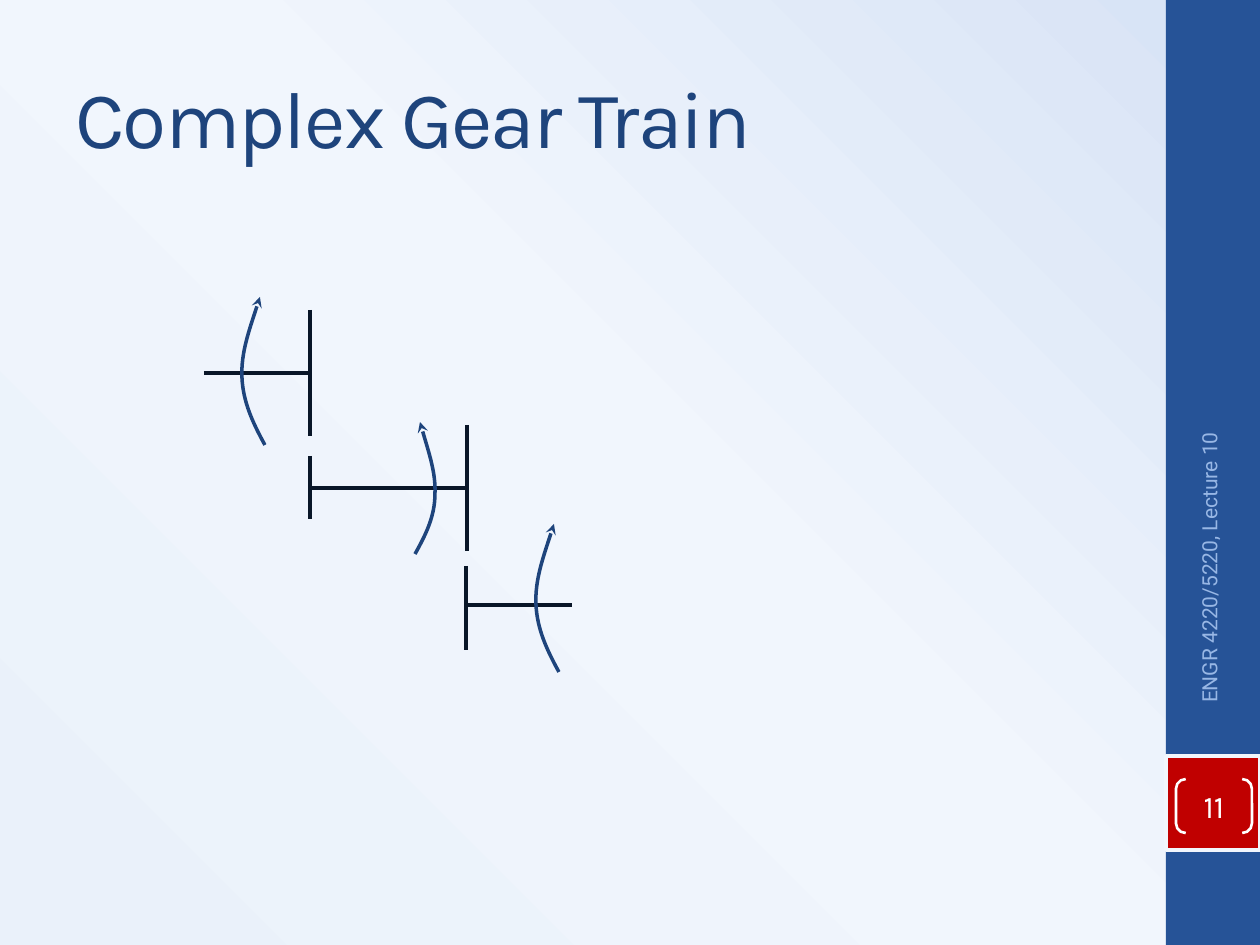
from lxml import etree
from pptx import Presentation
from pptx import util as u
from pptx.dml.color import RGBColor
from pptx.enum import shapes, text
from pptx.oxml import parse_xml
from pptx.oxml.ns import nsdecls, qn

PX = 914400 / 126

# Content: positions in px
GRADIENT = [(0, "EAF1FA"), (52, "F1F6FD"), (100, "D6E2F5")]
BANDS = [
    ((1166, 0, 94, 945), "265397", None),
    ((1166, 756, 94, 94), "C00000", "F2F6FC"),
]
TEXTS = [  # wording, box, rotation, size, font, colour, alignment, spacing
    ("Complex Gear Train", (63, 38, 1050, 157), 0, 46, "Karla", "1E447C", "LEFT", -100),
    ("ENGR 4220/5220, Lecture 10", (1046, 558, 326, 50), 270, 12, "Roboto", "98B7E5", "RIGHT", 0),
]
PAGE_NUMBER = ("11", (1176, 779, 76, 54))
SHAFTS = [(204, 310, 373), (310, 467, 488), (466, 572, 605)]  # left, right, y
GEARS = [(310, 310, 436), (467, 425, 551), (310, 456, 519), (466, 566, 650)]  # x, top, bottom
OUTER_TURN = [(265, 445), (253, 423), (243, 402), (242, 377), (241, 353), (251, 325), (260, 297)]
MIDDLE_TURN = [(415, 554), (425, 536), (435, 517), (435, 494), (436, 473), (427, 447), (420, 422)]
TURNS = [(OUTER_TURN, 0, 0), (MIDDLE_TURN, 0, 0), (OUTER_TURN, 294, 227)]


def emu(*values):
    return [u.Emu(round(value * PX)) for value in values]


def colour(value):
    return RGBColor.from_string(value)


def style_line(line, value, width):
    line.color.rgb = colour(value)
    line.width = u.Pt(width)


def set_text(shape, wording, size, font, value, alignment):
    frame = shape.text_frame
    frame.text = wording
    frame.word_wrap = True
    frame.vertical_anchor = text.MSO_ANCHOR.MIDDLE
    paragraph = frame.paragraphs[0]
    paragraph.alignment = text.PP_ALIGN[alignment]
    run = paragraph.runs[0]
    run.font.size = u.Pt(size)
    run.font.name = font
    run.font.color.rgb = colour(value)
    return run


def add_preset(slide, kind, box, fill, line, width):
    shape = slide.shapes.add_shape(kind, *emu(*box))
    shape.shadow.inherit = False
    if fill:
        shape.fill.solid()
        shape.fill.fore_color.rgb = colour(fill)
    else:
        shape.fill.background()
    if line:
        style_line(shape.line, line, width)
    else:
        shape.line.fill.background()
    return shape


def add_line(slide, *ends):
    connector = slide.shapes.add_connector(shapes.MSO_CONNECTOR.STRAIGHT, *emu(*ends))
    style_line(connector.line, "091628", 2.25)
    etree.SubElement(connector._element.spPr, qn("a:effectLst"))


def add_turn(slide, points):
    start, *rest = [emu(*point) for point in points]
    builder = slide.shapes.build_freeform(*start)
    builder.add_line_segments(rest, close=False)
    shape = builder.convert_to_shape()
    shape.shadow.inherit = False
    shape.fill.background()
    style_line(shape.line, "1E447C", 2)
    etree.SubElement(shape.line._get_or_add_ln(), qn("a:tailEnd"), type="stealth")
    # Each three segments hold the control points of one Bezier curve
    outline = shape._element.spPr.find(".//" + qn("a:path"))
    segments = outline.findall(qn("a:lnTo"))
    for first in range(0, len(segments), 3):
        curve = etree.SubElement(outline, qn("a:cubicBezTo"))
        for segment in segments[first:first + 3]:
            curve.append(segment[0])
            outline.remove(segment)


def set_background(slide):
    slide.background.fill.gradient()
    old = slide._element.find(".//" + qn("a:gradFill"))
    stops = "".join(
        f'<a:gs pos="{position * 1000}"><a:srgbClr val="{value}"/></a:gs>'
        for position, value in GRADIENT
    )
    old.getparent().replace(old, parse_xml(
        f'<a:gradFill {nsdecls("a")} rotWithShape="1"><a:gsLst>{stops}</a:gsLst>'
        '<a:path path="circle"><a:fillToRect t="100000" r="100000"/></a:path></a:gradFill>'
    ))


def main():
    presentation = Presentation()
    presentation.slide_width, presentation.slide_height = emu(1260, 945)
    slide = presentation.slides.add_slide(presentation.slide_layouts[6])
    set_background(slide)

    # Side band and page number tile
    for box, fill, line in BANDS:
        add_preset(slide, shapes.MSO_SHAPE.RECTANGLE, box, fill, line, 2)

    # Title and footer
    for wording, box, rotation, size, font, value, alignment, spacing in TEXTS:
        shape = slide.shapes.add_textbox(*emu(*box))
        shape.rotation = rotation
        run = set_text(shape, wording, size, font, value, alignment)
        if spacing:
            run.font._element.set("spc", str(spacing))

    # Gear train
    for left, right, y in SHAFTS:
        add_line(slide, left, y, right, y)
    for x, top, bottom in GEARS:
        add_line(slide, x, top, x, bottom)

    # Rotation arrows
    for points, shift_x, shift_y in TURNS:
        add_turn(slide, [(x + shift_x, y + shift_y) for x, y in points])

    # Page number
    number, box = PAGE_NUMBER
    bracket = add_preset(slide, shapes.MSO_SHAPE.DOUBLE_BRACKET, box, None, "FFFFFF", 1.5)
    bracket.adjustments[0] = 0.18
    frame = bracket.text_frame
    frame.margin_left = frame.margin_right = frame.margin_top = frame.margin_bottom = 0
    set_text(bracket, number, 18, "Karla", "FFFFFF", "CENTER")

    presentation.save("out.pptx")


if __name__ == "__main__":
    main()
